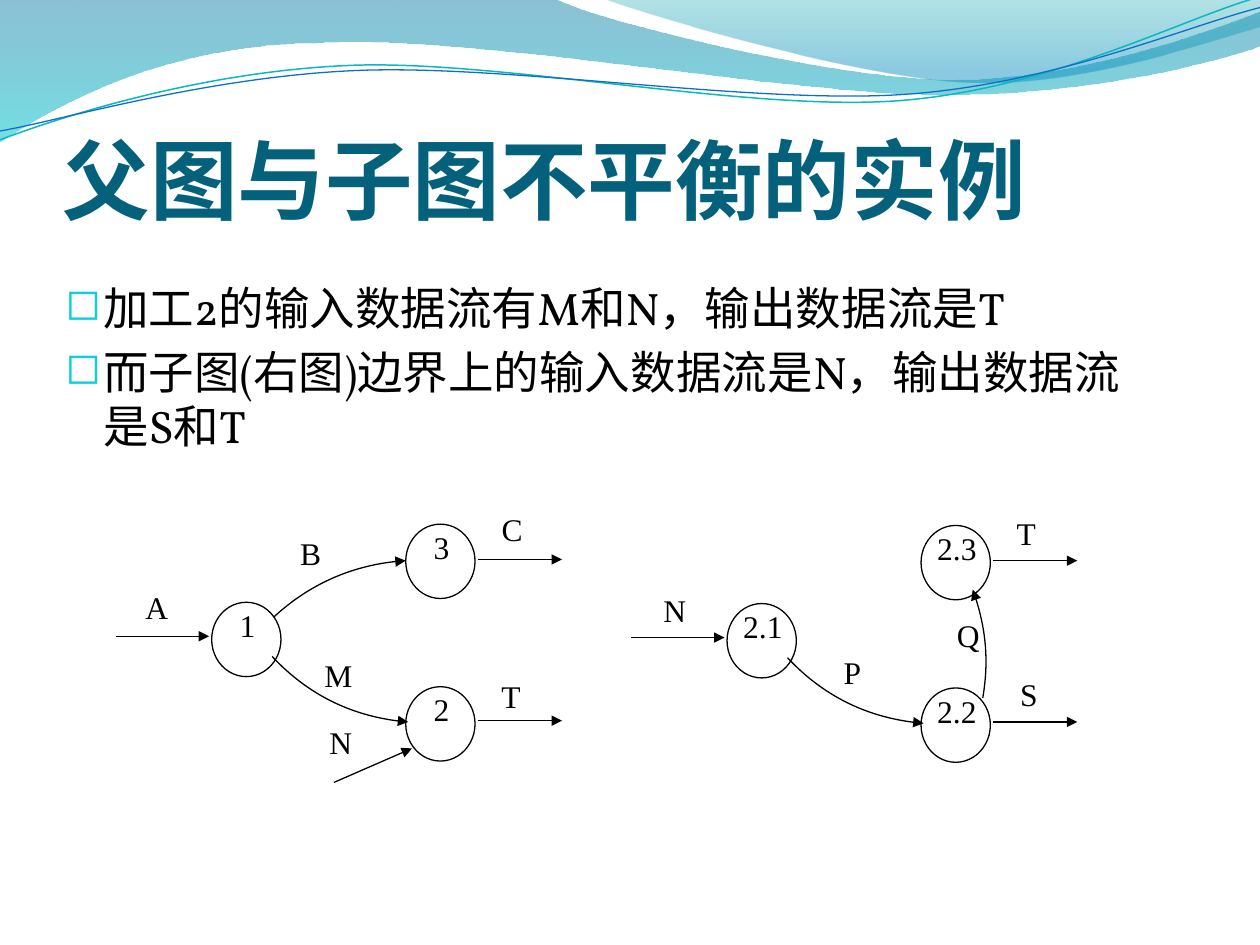
from lxml.etree import SubElement
from pptx import Presentation
from pptx.dml.color import RGBColor
from pptx.enum.shapes import MSO_CONNECTOR as Connector, MSO_SHAPE as Preset
from pptx.enum.text import MSO_ANCHOR as Anchor, PP_ALIGN as Align
from pptx.oxml.ns import qn
from pptx.util import Inches, Pt

COLORS = {
    "title": "04617B", "text": "000000", "bullet": "0BD0D9", "line": "000000",
    "deep": "0074A1", "aqua": "00C6CF", "teal": "00A1A9", "sky": "008BBF",
    "upper_wave": "0AB8BF", "lower_wave": "0F6FC6",
}
CJK_FONT = "Noto Sans CJK SC"
BODY_FONT = "Vollkorn"
LABEL_FONT = "Times New Roman"


def color(name):
    return RGBColor.from_string(COLORS[name])


class SlideBuilder:
    """Holds the style and the current slide."""

    line_width = 0.75
    node_size = (0.55, 0.59)
    label_size = 0.49

    def __init__(self, slide):
        self.slide = slide
        self.shapes = slide.shapes

    def style_line(self, shape, name="line", width=line_width, arrow=False):
        shape.line.color.rgb = color(name)
        shape.line.width = Pt(width)
        if arrow:
            SubElement(shape.line._get_or_add_ln(), qn("a:tailEnd"), type="triangle")

    def style_runs(self, paragraph, size, font, name="text", bold=False):
        for run in paragraph.runs:
            run.font.size = Pt(size)
            run.font.name = font
            run.font.bold = bold
            run.font.color.rgb = color(name)
            SubElement(run._r.get_or_add_rPr(), qn("a:ea"), typeface=CJK_FONT)

    def text_box(self, left, top, width, height):
        box = self.shapes.add_textbox(*map(Inches, (left, top, width, height)))
        box.text_frame.word_wrap = True
        return box.text_frame

    def title(self, text, *place):
        text_frame = self.text_box(*place)
        text_frame.vertical_anchor = Anchor.BOTTOM
        text_frame.margin_left = text_frame.margin_right = text_frame.margin_bottom = 0
        text_frame.text = text
        self.style_runs(text_frame.paragraphs[0], 50, CJK_FONT, "title", True)

    def bullets(self, lines, *place):
        text_frame = self.text_box(*place)
        text_frame.text = "\n".join(lines)
        for index, paragraph in enumerate(text_frame.paragraphs):
            properties = paragraph._p.get_or_add_pPr()
            properties.set("marL", str(Inches(0.3)))
            properties.set("indent", str(Inches(-0.3)))
            bullet_color = SubElement(properties, qn("a:buClr"))
            SubElement(bullet_color, qn("a:srgbClr"), val=COLORS["bullet"])
            SubElement(properties, qn("a:buSzPct"), val="95000")
            SubElement(properties, qn("a:buChar"), char="◻")
            if index:
                paragraph.space_before = Pt(5.5)
            self.style_runs(paragraph, 26, BODY_FONT)

    def label(self, text, left, top, width=label_size, height=label_size):
        text_frame = self.text_box(left, top, width, height)
        text_frame.text = text
        text_frame.paragraphs[0].alignment = Align.CENTER
        self.style_runs(text_frame.paragraphs[0], 18, LABEL_FONT)

    def node(self, text, left, top):
        self.label(text, left, top - 0.02, 0.57, 0.52)
        circle = self.shapes.add_shape(
            Preset.OVAL, *map(Inches, (left, top, *self.node_size)))
        circle.shadow.inherit = False
        circle.fill.background()
        self.style_line(circle)

    def arrow(self, start, end):
        connector = self.shapes.add_connector(
            Connector.STRAIGHT, *map(Inches, (*start, *end)))
        SubElement(connector._element.spPr, qn("a:effectLst"))
        self.style_line(connector, arrow=True)

    def outline(self, start, segments, close=False):
        """Draw segments: one point is a straight line, three are a Bezier curve."""
        builder = self.shapes.build_freeform(*map(Inches, start))
        points = [point for segment in segments for point in segment]
        builder.add_line_segments([tuple(map(Inches, p)) for p in points], close=close)
        shape = builder.convert_to_shape()
        shape.shadow.inherit = False
        steps = iter(list(shape._element.iter(qn("a:lnTo"))))
        for segment in segments:
            step = next(steps)
            if len(segment) == 3:
                step.tag  # first control point marks the place of the curve
                parent = step.getparent()
                curve = SubElement(parent, qn("a:cubicBezTo"))
                parent.replace(step, curve)
                for control in (step, next(steps), next(steps)):
                    curve.append(control[0])
                    if control.getparent() is not None:
                        parent.remove(control)
        return shape

    def curve(self, start, *controls, name="line", width=line_width, arrow=False):
        shape = self.outline(start, [controls])
        shape.fill.background()
        self.style_line(shape, name, width, arrow)

    def wave_line(self, start, segments, name, width):
        shape = self.outline(start, segments)
        shape.fill.background()
        self.style_line(shape, name, width)

    def wave_area(self, start, segments, stops):
        shape = self.outline(start, segments, close=True)
        shape.line.fill.background()
        shape.fill.gradient()
        shape.fill.gradient_angle = 270
        for stop, (position, name, opacity) in zip(shape.fill.gradient_stops, stops):
            stop.position = position
            stop.color.rgb = color(name)
            value = stop._gs.find(qn("a:srgbClr"))
            SubElement(value, qn("a:alpha"), val=str(opacity * 1000))

    def diagram(self, shift, names, labels):
        """Draw three nodes with the flows that both diagrams share."""
        def at(x, y):
            return x + shift[0], y + shift[1]

        for name, place in zip(names, [(1.68, 4.78), (3.22, 5.45), (3.22, 4.16)]):
            self.node(name, *at(*place))
        self.arrow(at(0.92, 5.05), at(1.66, 5.05))
        for y in (5.72, 4.44):
            self.arrow(at(3.79, y), at(4.46, y))
        self.curve(at(2.16, 5.21), at(2.45, 5.52), at(2.84, 5.7), at(3.24, 5.73),
                   arrow=True)
        for text, left, top in labels:
            self.label(text, left, top)


def main():
    presentation = Presentation()
    presentation.slide_width, presentation.slide_height = Inches(10), Inches(7.5)
    page = SlideBuilder(presentation.slides.add_slide(presentation.slide_layouts[6]))

    # Wave decoration along the top
    page.wave_area((0, -0.01), [
        [(4.4, -0.01)],
        [(4.76, 0.17), (6.64, 0.63), (7.58, 0.63)],
        [(8.53, 0.63), (9.58, 0.26), (10, 0.09)],
        [(10.01, 0.36)],
        [(9.83, 0.44), (8.7, 0.76), (7.46, 0.75)],
        [(6.22, 0.75), (3.82, 0.28), (2.57, 0.34)],
        [(1.29, 0.35), (0.46, 0.83), (-0.01, 1.13)],
    ], [(0, "deep", 45), (1, "aqua", 55)])
    page.wave_area((4.79, -0.01), [
        [(5.09, 0.11), (6.82, 0.62), (7.69, 0.65)],
        [(8.56, 0.69), (9.61, 0.32), (10, 0.21)],
        [(10, 0)],
    ], [(0, "teal", 30), (0.8, "sky", 45)])
    page.wave_line((0, 1.11), [
        [(0.48, 0.93), (1.58, 0.57), (2.77, 0.52)],
        [(3.95, 0.47), (5.93, 0.89), (7.13, 0.8)],
        [(8.33, 0.71), (9.38, 0.15), (9.98, -0.02)],
    ], "upper_wave", 0.85)
    page.wave_line((0, 1.04), [
        [(0.47, 0.96), (1.64, 0.61), (2.83, 0.56)],
        [(4.03, 0.51), (5.97, 0.83), (7.17, 0.75)],
        [(8.36, 0.67), (9.41, 0.21), (10, 0.06)],
    ], "lower_wave", 0.75)

    # Title and explanation
    page.title("父图与子图不平衡的实例", 0.5, 0.58, 9, 1.25)
    page.bullets([
        "加工2的输入数据流有M和N，输出数据流是T",
        "而子图(右图)边界上的输入数据流是N，输出数据流是S和T",
    ], 0.42, 2.17, 8.67, 2.5)

    # Parent diagram, with flows B and N of its own
    page.diagram((0, 0), ["1", "2", "3"], [
        ("A", 1, 4.62), ("B", 2.22, 4.19), ("C", 3.82, 4),
        ("M", 2.44, 5.16), ("N", 2.46, 5.69), ("T", 3.81, 5.32)])
    page.curve((2.17, 4.9), (2.46, 4.63), (2.85, 4.47), (3.22, 4.45), arrow=True)
    page.arrow((2.65, 6.21), (3.27, 5.94))

    # Child diagram, with flow Q of its own
    page.diagram((4.09, 0.01), ["2.1", "2.2", "2.3"], [
        ("N", 5.11, 4.64), ("P", 6.52, 5.13), ("S", 7.92, 5.31),
        ("T", 7.9, 4.03), ("Q", 7.44, 4.84)])
    page.curve((7.8, 5.54), (7.85, 5.25), (7.82, 4.95), (7.72, 4.68), arrow=True)

    presentation.save("out.pptx")


if __name__ == "__main__":
    main()
